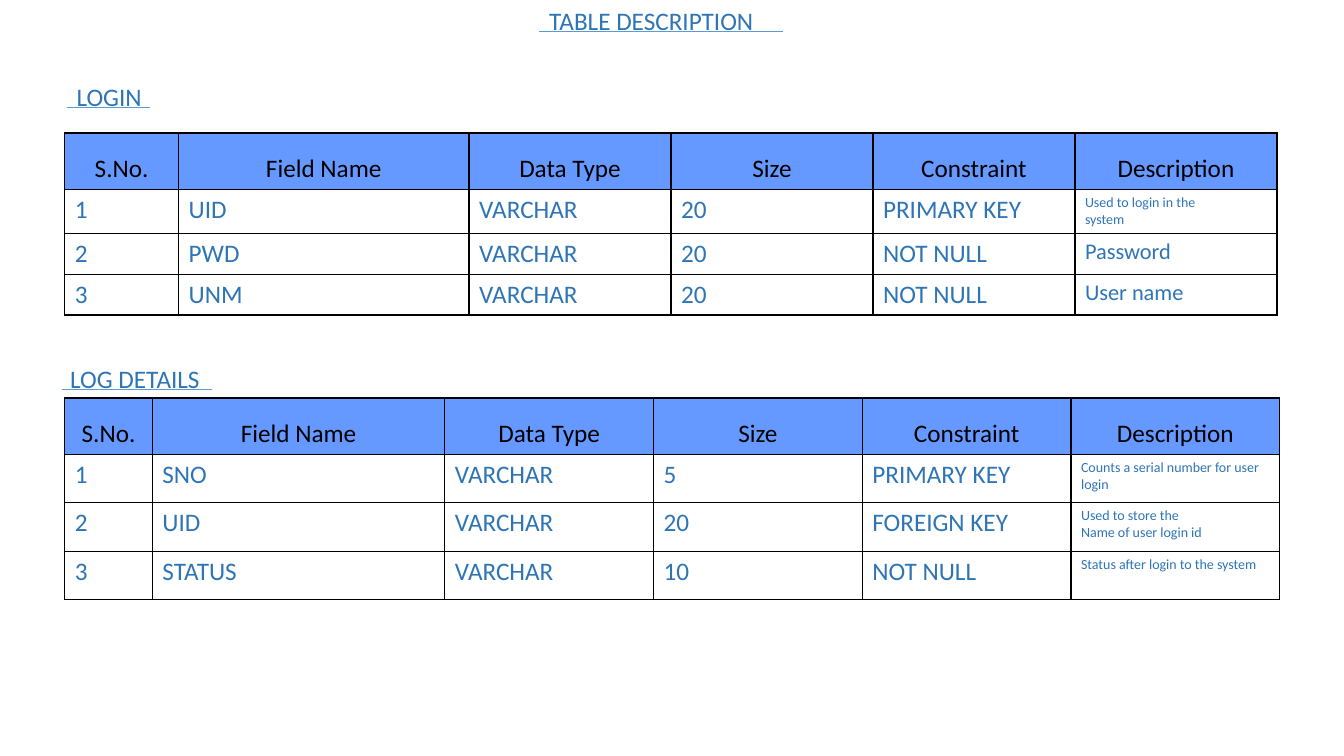
from lxml.etree import SubElement
from pptx import Presentation
from pptx.dml.color import RGBColor
from pptx.enum.shapes import MSO_CONNECTOR
from pptx.enum.text import PP_ALIGN
from pptx.oxml import parse_xml
from pptx.oxml.ns import nsdecls, qn
from pptx.util import Cm, Pt

BLACK = RGBColor(0x00, 0x00, 0x00)
HEADER_BLUE = RGBColor(0x66, 0x99, 0xFF)
TEXT_BLUE = RGBColor(0x2E, 0x75, 0xB6)
RULE_BLUE = RGBColor(0x5B, 0x9B, 0xD5)
FONT = "Calibri"

HEADINGS = ["S.No.", "Field Name", "Data Type", "Size", "Constraint", "Description"]
LOGIN_FIELDS = [
    ("UID", "20", "PRIMARY KEY", "Used to login in the\nsystem", 10),
    ("PWD", "20", "NOT NULL", "Password", 16),
    ("UNM", "20", "NOT NULL", "User name", 16),
]
LOG_FIELDS = [
    ("SNO", "5", "PRIMARY KEY", "Counts a serial number for user login", 10),
    ("UID", "20", "FOREIGN KEY", "Used to store the\nName of user login id", 10),
    ("STATUS", "10", "NOT NULL", "Status after login to the system", 10),
]


def add_span(para, text, size, color):
    span = para.add_run()
    span.text = text
    span.font.name = FONT
    span.font.size = Pt(size)
    span.font.color.rgb = color


def add_heading(page, text, left, top, rule_start, rule_length):
    box = page.shapes.add_textbox(Cm(left), Cm(top), Cm(7.09), Cm(1.02))
    box.text_frame.word_wrap = True
    add_span(box.text_frame.paragraphs[0], text, 18, TEXT_BLUE)

    start = left + rule_start
    height = Cm(top + 0.78)
    rule = page.shapes.add_connector(
        MSO_CONNECTOR.STRAIGHT, Cm(start), height, Cm(start + rule_length), height
    )
    rule.line.color.rgb = RULE_BLUE
    rule.line.width = Pt(0.5)
    SubElement(rule._element.spPr, qn("a:effectLst"))


def add_borders(cell):
    properties = cell._tc.get_or_add_tcPr()
    for index, side in enumerate(["lnL", "lnR", "lnT", "lnB"]):
        border = parse_xml(
            f'<a:{side} {nsdecls("a")} w="{Pt(1)}"><a:solidFill>'
            f'<a:srgbClr val="{BLACK}"/></a:solidFill></a:{side}>'
        )
        properties.insert(index, border)


def fill_header_cell(cell, text):
    cell.fill.solid()
    cell.fill.fore_color.rgb = HEADER_BLUE
    para = cell.text_frame.paragraphs[0]
    para.alignment = PP_ALIGN.CENTER
    para.line_spacing = 1.5
    add_span(para, text, 18, BLACK)
    add_borders(cell)


def fill_body_cell(cell, text, size):
    cell.fill.background()
    frame = cell.text_frame
    for index, line in enumerate(text.split("\n")):
        para = frame.add_paragraph() if index else frame.paragraphs[0]
        add_span(para, line, size, TEXT_BLUE)
    add_borders(cell)


def add_field_table(page, left, top, widths, heights, fields):
    table = page.shapes.add_table(
        len(heights), len(widths), Cm(left), Cm(top), Cm(sum(widths)), Cm(sum(heights))
    ).table
    table.first_row = False
    table.horz_banding = False
    for column, width in zip(table.columns, widths):
        column.width = Cm(width)
    for row, height in zip(table.rows, heights):
        row.height = Cm(height)
    for column, heading in enumerate(HEADINGS):
        fill_header_cell(table.cell(0, column), heading)
    for number, (name, length, constraint, description, size) in enumerate(fields, 1):
        values = [str(number), name, "VARCHAR", length, constraint]
        for column, value in enumerate(values):
            fill_body_cell(table.cell(number, column), value, 18)
        fill_body_cell(table.cell(number, len(values)), description, size)


def build_page(page):
    add_field_table(page, 1.63, 3.35, [2.87, 7.32] + [5.09] * 4,
                    [1.17, 1.02, 0.94, 0.94], LOGIN_FIELDS)
    add_field_table(page, 1.63, 10.03, [2.21, 7.37] + [5.26] * 4,
                    [1.4] + [1.22] * 3, LOG_FIELDS)
    add_heading(page, "LOG DETAILS", 1.52, 9.02, 0.05, 3.78)
    add_heading(page, "LOGIN", 1.68, 1.93, 0, 2.11)
    add_heading(page, "TABLE DESCRIPTION", 13.59, 0, 0, 6.15)


def main():
    deck = Presentation()
    deck.slide_width = Cm(33.87)
    deck.slide_height = Cm(19.05)
    build_page(deck.slides.add_slide(deck.slide_layouts[6]))
    deck.save("out.pptx")


if __name__ == "__main__":
    main()
